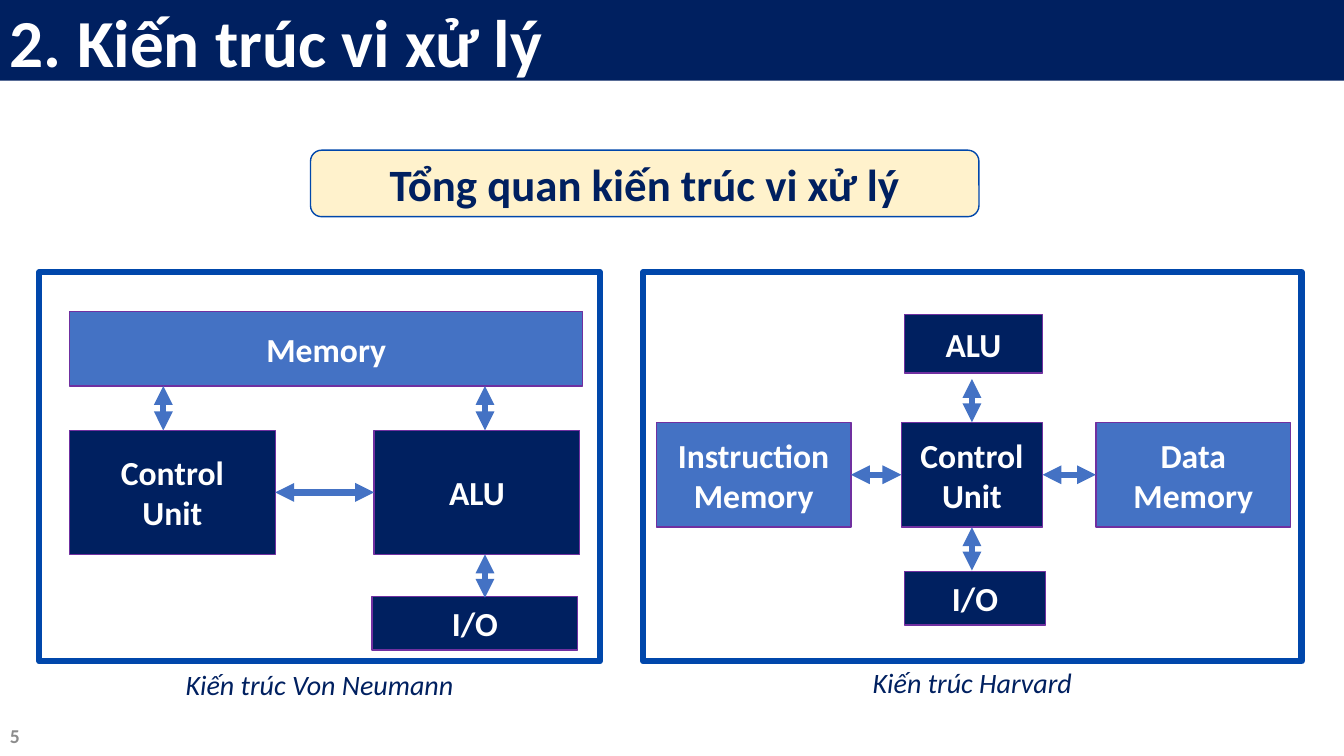
from typing import NamedTuple, Optional

from lxml import etree
from pptx import Presentation, util as u
from pptx.dml.color import RGBColor
from pptx.enum import shapes as sh, text as tx
from pptx.oxml import ns

PX = 9144  # 100 px to the inch
NAVY = RGBColor(0x00, 0x20, 0x60)
COBALT = RGBColor(0x00, 0x47, 0xAB)
BLUE = RGBColor(0x44, 0x72, 0xC4)
PURPLE = RGBColor(0x70, 0x30, 0xA0)
CREAM = RGBColor(0xFF, 0xF2, 0xCC)
WHITE = RGBColor(0xFF, 0xFF, 0xFF)
GREY = RGBColor(0x8C, 0x8C, 0x8C)
TOP, LEFT, BOTTOM, RIGHT = range(4)


class Area(NamedTuple):
    x: int
    y: int
    w: int
    h: int


class Block(NamedTuple):
    key: str
    label: str
    area: Area
    fill: RGBColor


class Joint(NamedTuple):
    key: str
    side: int


class Arrow(NamedTuple):
    x1: int
    y1: int
    x2: int
    y2: int
    start: Optional[Joint] = None
    end: Optional[Joint] = None


class Panel(NamedTuple):
    frame: Area
    title: str
    label: Area
    blocks: list[Block]
    arrows: list[Arrow]


VON = Panel(
    Area(39, 270, 556, 386), "Kiến trúc Von Neumann", Area(39, 657, 556, 44),
    [Block("mem", "Memory", Area(69, 309, 509, 74), BLUE),
     Block("ctrl", "Control\nUnit", Area(69, 427, 204, 123), NAVY),
     Block("io", "I/O", Area(369, 592, 204, 53), NAVY),
     Block("alu", "ALU", Area(371, 427, 204, 123), NAVY)],
    [Arrow(481, 550, 481, 593),
     Arrow(481, 383, 481, 427),
     Arrow(162, 383, 162, 427),
     Arrow(273, 488, 371, 488, Joint("ctrl", RIGHT), Joint("alu", LEFT))])

HARVARD = Panel(
    Area(638, 270, 653, 386), "Kiến trúc Harvard", Area(638, 655, 653, 44),
    [Block("code", "Instruction\nMemory", Area(651, 419, 193, 104), BLUE),
     Block("data", "Data\nMemory", Area(1087, 419, 193, 104), BLUE),
     Block("alu", "ALU", Area(897, 312, 137, 58), NAVY),
     Block("ctrl", "Control\nUnit", Area(894, 419, 140, 104), NAVY),
     Block("io", "I/O", Area(897, 567, 140, 53), NAVY)],
    [Arrow(844, 471, 894, 471, Joint("code", RIGHT), Joint("ctrl", LEFT)),
     Arrow(1034, 471, 1087, 471, Joint("ctrl", RIGHT), Joint("data", LEFT)),
     Arrow(964, 523, 964, 566, start=Joint("ctrl", BOTTOM)),
     Arrow(964, 376, 964, 419, end=Joint("ctrl", TOP))])

deck = Presentation()
deck.slide_width, deck.slide_height = u.Inches(13.33), u.Inches(7.5)
slide = deck.slides.add_slide(deck.slide_layouts[6])


def write(item, words: str, size: int, color: RGBColor, bold: bool = False,
          italic: bool = False, align=tx.PP_ALIGN.CENTER,
          anchor=tx.MSO_ANCHOR.MIDDLE) -> None:
    frame = item.text_frame
    frame.word_wrap = True
    frame.vertical_anchor = anchor
    para = frame.paragraphs[0]
    para.text = words
    para.alignment = align
    for run in para.runs:
        font = run.font
        font.name, font.size = "Calibri", u.Pt(size)
        font.bold, font.italic = bold, italic
        font.color.rgb = color


def box(area: Area, fill: RGBColor, line: Optional[RGBColor] = None,
        width: float = 1, kind=sh.MSO_SHAPE.RECTANGLE):
    item = slide.shapes.add_shape(kind, *(n * PX for n in area))
    item.shadow.inherit = False
    item.fill.solid()
    item.fill.fore_color.rgb = fill
    if line is None:
        item.line.fill.background()
    else:
        item.line.color.rgb = line
        item.line.width = u.Pt(width)
    return item


def label(area: Area):
    return slide.shapes.add_textbox(*(n * PX for n in area))


def link(arrow: Arrow, made: dict) -> None:
    line = slide.shapes.add_connector(
        sh.MSO_CONNECTOR.STRAIGHT, *(n * PX for n in arrow[:4]))
    if arrow.start:
        line.begin_connect(made[arrow.start.key], arrow.start.side)
    if arrow.end:
        line.end_connect(made[arrow.end.key], arrow.end.side)
    line.line.color.rgb = BLUE
    line.line.width = u.Pt(4.5)
    # Arrowheads at both ends, no shadow
    stroke = line.line._get_or_add_ln()
    for tag in ("a:headEnd", "a:tailEnd"):
        etree.SubElement(stroke, ns.qn(tag), type="triangle")
    etree.SubElement(line._element.spPr, ns.qn("a:effectLst"))


def draw(panel: Panel) -> None:
    box(panel.frame, WHITE, COBALT, 4.5)
    made = {}
    for block in panel.blocks:
        made[block.key] = box(block.area, block.fill, PURPLE)
        write(made[block.key], block.label, 24, WHITE, bold=True)
    for arrow in panel.arrows:
        link(arrow, made)
    write(label(panel.label), panel.title, 20, NAVY, italic=True,
          anchor=tx.MSO_ANCHOR.TOP)


def main() -> None:
    # Topic and title bar
    topic = box(Area(308, 149, 663, 66), CREAM, COBALT,
                kind=sh.MSO_SHAPE.ROUNDED_RECTANGLE)
    write(topic, "Tổng quan kiến trúc vi xử lý", 32, NAVY, bold=True)
    write(box(Area(0, 0, 1333, 80), NAVY), "2. Kiến trúc vi xử lý", 48, WHITE,
          bold=True, align=tx.PP_ALIGN.LEFT)

    # The two architectures
    for panel in (VON, HARVARD):
        draw(panel)

    # Page number
    write(label(Area(0, 710, 300, 40)), "5", 14, GREY, bold=True,
          align=tx.PP_ALIGN.LEFT)
    deck.save("out.pptx")


if __name__ == "__main__":
    main()
